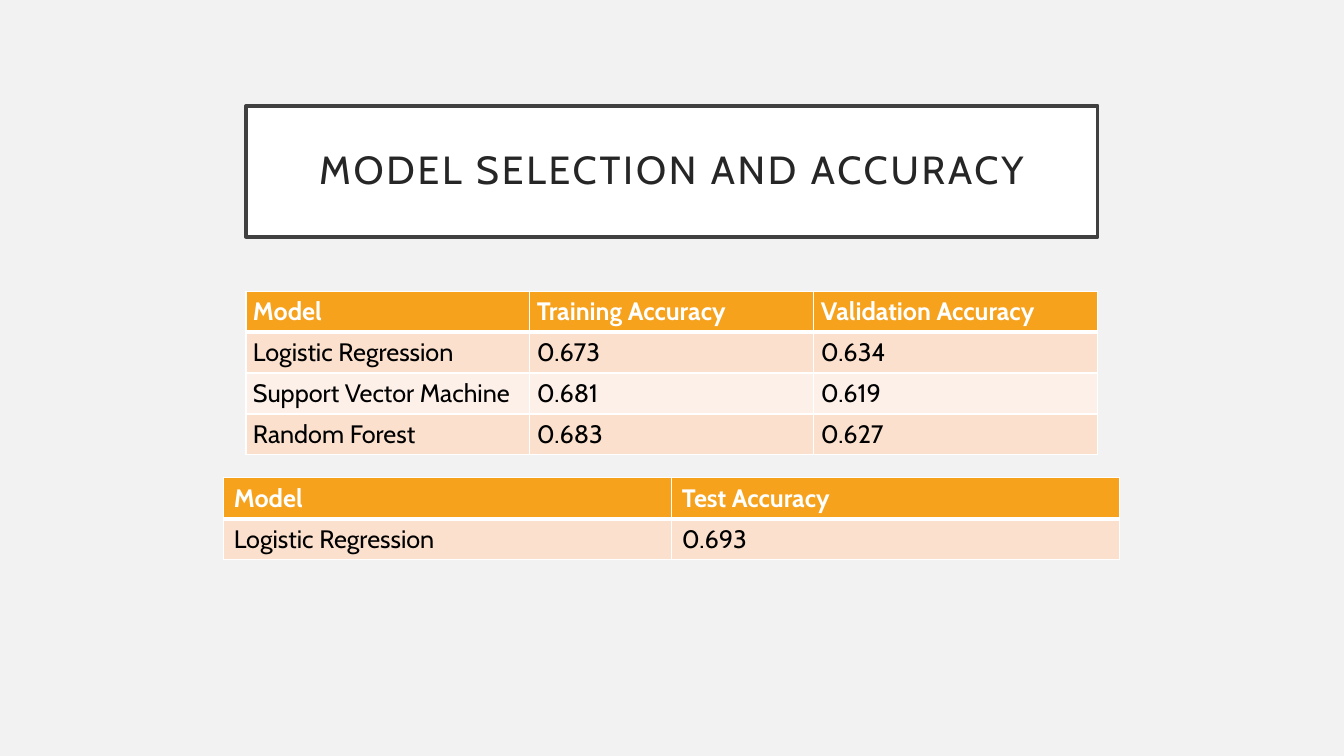
from lxml import etree
from pptx import Presentation, util as u
from pptx.dml.color import RGBColor
from pptx.enum import shapes, text
from pptx.oxml import ns

COLORS = {
    "background": "F2F2F2", "white": "FFFFFF", "frame": "404040",
    "title": "262626", "header": "F6A21D", "odd": "FBE0CD",
    "even": "FDF0E8", "body": "000000",
}
ROW_HEIGHT = 0.405


def add_words(paragraph, words, size, color, bold=False):
    run = paragraph.add_run()
    run.text = words
    run.font.name = "Cabin"
    run.font.size = u.Pt(size)
    run.font.bold = bold
    run.font.color.rgb = RGBColor.from_string(COLORS[color])
    return run


def add_border(cell, side, width):
    line = etree.SubElement(cell._tc.get_or_add_tcPr(), ns.qn(f"a:ln{side}"), w=str(u.Pt(width)))
    fill = etree.SubElement(line, ns.qn("a:solidFill"))
    etree.SubElement(fill, ns.qn("a:srgbClr"), val=COLORS["white"])


deck = Presentation()
deck.slide_width, deck.slide_height = u.Inches(13.333), u.Inches(7.5)
slide = deck.slides.add_slide(deck.slide_layouts[6])
slide.background.fill.solid()
slide.background.fill.fore_color.rgb = RGBColor.from_string(COLORS["background"])

title = slide.shapes.add_shape(
    shapes.MSO_SHAPE.RECTANGLE, u.Inches(2.44), u.Inches(1.05), u.Inches(8.45), u.Inches(1.3))
title.shadow.inherit = False
title.fill.solid()
title.fill.fore_color.rgb = RGBColor.from_string(COLORS["white"])
title.line.color.rgb = RGBColor.from_string(COLORS["frame"])
title.line.width = u.Pt(2.5)
frame = title.text_frame
frame.word_wrap = True
frame.vertical_anchor = text.MSO_ANCHOR.MIDDLE
frame.margin_left = frame.margin_right = frame.margin_top = frame.margin_bottom = u.Inches(0.2)
heading = frame.paragraphs[0]
heading.alignment = text.PP_ALIGN.CENTER
heading.line_spacing = 0.9
heading_run = add_words(heading, "MODEL SELECTION AND ACCURACY", 28, "title")
heading_run.font._element.set("spc", "200")

accuracy_tables = [
    (2.44, 2.89, 8.45, 0.07, [
        ("Model", "Training Accuracy", "Validation Accuracy"),
        ("Logistic Regression", "0.673", "0.634"),
        ("Support Vector Machine", "0.681", "0.619"),
        ("Random Forest", "0.683", "0.627"),
    ]),
    (2.22, 4.74, 8.89, 0.1, [
        ("Model", "Test Accuracy"),
        ("Logistic Regression", "0.693"),
    ]),
]

for left, top, width, margin, rows in accuracy_tables:
    grid = slide.shapes.add_table(
        len(rows), len(rows[0]), u.Inches(left), u.Inches(top),
        u.Inches(width), u.Inches(ROW_HEIGHT * len(rows))).table
    for r, row in enumerate(rows):
        is_header = r == 0
        band = "header" if is_header else ("even", "odd")[r % 2]
        for c, words in enumerate(row):
            cell = grid.cell(r, c)
            cell.margin_left = cell.margin_right = u.Inches(margin)
            cell.margin_top = cell.margin_bottom = u.Inches(0.05)
            for side, weight in (("L", 1), ("R", 1), ("T", 3 if r == 1 else 1), ("B", 3 if is_header else 1)):
                add_border(cell, side, weight)
            cell.fill.solid()
            cell.fill.fore_color.rgb = RGBColor.from_string(COLORS[band])
            add_words(cell.text_frame.paragraphs[0], words, 18,
                      "white" if is_header else "body", is_header)

deck.save("out.pptx")
